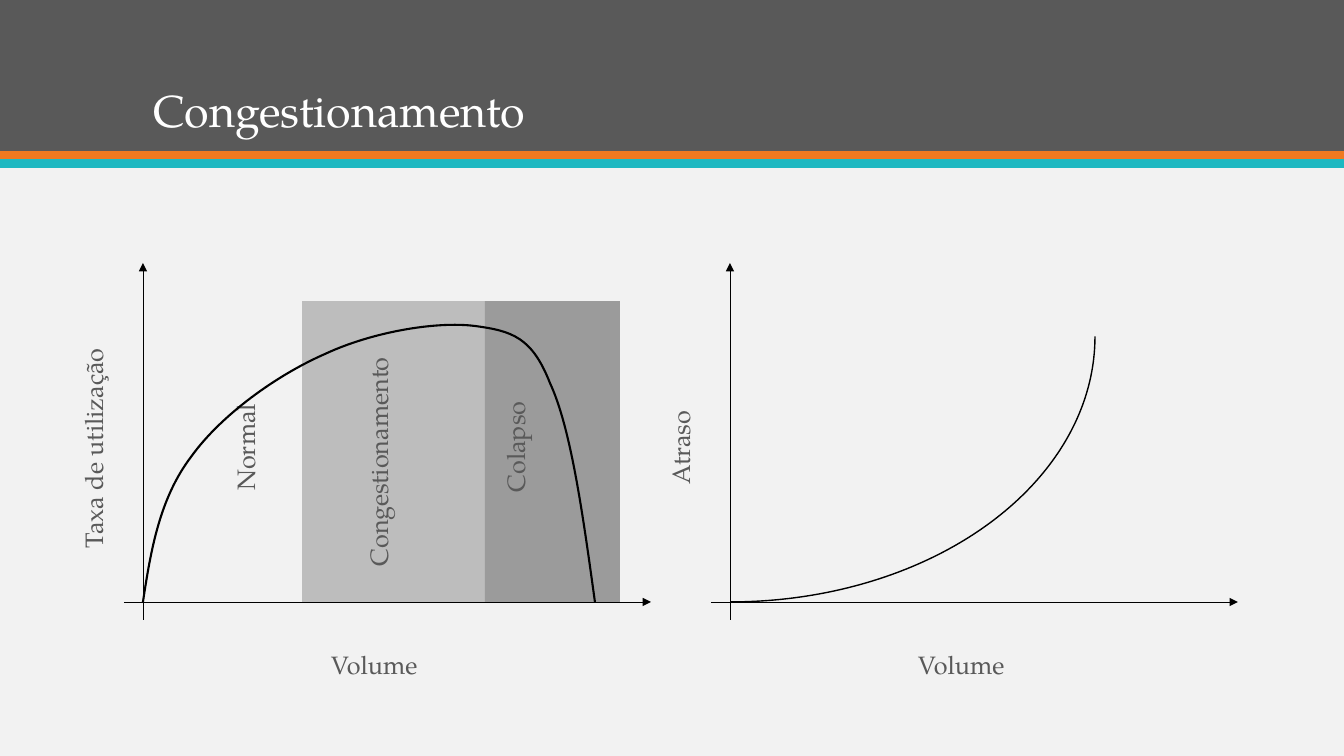
from lxml.etree import SubElement
from pptx import Presentation
from pptx.dml.color import RGBColor
from pptx.enum.shapes import MSO_CONNECTOR, MSO_SHAPE
from pptx.enum.text import MSO_ANCHOR, MSO_AUTO_SIZE, PP_ALIGN
from pptx.oxml.ns import qn
from pptx.util import Emu, Pt

FONT = "TeX Gyre Pagella"
COLORS = {
    "background": "F2F2F2", "header": "595959", "orange": "EF7920",
    "teal": "1EB8C1", "congestion": "BDBDBD", "collapse": "9B9B9B",
    "text": "595959", "title": "FFFFFF", "line": "000000",
}
BASE_Y = 602
UTILIZATION_X, DELAY_X = 143, 730
# Start point, then two controls and an end point for each Bezier segment
UTILIZATION_CURVE = [
    (143, 602),
    (151, 549), (160, 498), (191, 457),
    (221, 415), (277, 375), (325, 354),
    (372, 332), (436, 321), (475, 326),
    (512, 331), (532, 337), (550, 383),
    (571, 428), (583, 515), (595, 602),
]


def px(n):
    return Emu(round(n * 914400 / 100.8))


def rgb(name):
    return RGBColor.from_string(COLORS[name])


def set_all(target, values):
    for name, value in values.items():
        setattr(target, name, value)


def style_text(tf, text, size, color, **frame):
    set_all(tf, frame)
    p = tf.paragraphs[0]
    p.alignment = PP_ALIGN.LEFT
    r = p.add_run()
    r.text = text
    set_all(r.font, {"name": FONT, "size": Pt(size)})
    r.font.color.rgb = rgb(color)
    return p


def style_line(sp, width):
    sp.line.color.rgb = rgb("line")
    sp.line.width = Pt(width)


def add_block(s, x, y, w, h, color):
    sp = s.shapes.add_shape(MSO_SHAPE.RECTANGLE, *map(px, (x, y, w, h)))
    sp.shadow.inherit = False
    sp.fill.solid()
    sp.fill.fore_color.rgb = rgb(color)
    sp.line.fill.background()


def add_title(s, text):
    sp = s.shapes.title
    set_all(sp, {"left": px(143), "top": px(28), "width": px(1058), "height": px(114)})
    p = style_text(sp.text_frame, text, 32, "title", word_wrap=True,
                   vertical_anchor=MSO_ANCHOR.BOTTOM)
    p.line_spacing = 0.9
    s.shapes._spTree.append(sp._element)  # in front of the header bands


def add_label(s, text, cx, cy, length, vertical=False):
    w, h = (50, length) if vertical else (length, 40)
    sp = s.shapes.add_textbox(px(cx - w / 2), px(cy - h / 2), px(w), px(h))
    style_text(sp.text_frame, text, 18, "text", word_wrap=False,
               auto_size=MSO_AUTO_SIZE.SHAPE_TO_FIT_TEXT)
    if vertical:
        sp.text_frame._txBody.bodyPr.set("vert", "vert270")


def add_arrow(s, x1, y1, x2, y2):
    sp = s.shapes.add_connector(MSO_CONNECTOR.STRAIGHT, *map(px, (x1, y1, x2, y2)))
    style_line(sp, 0.5)
    SubElement(sp.line._get_or_add_ln(), qn("a:tailEnd"), type="triangle")
    SubElement(sp._element.spPr, qn("a:effectLst"))


def add_axes(s, x):
    add_arrow(s, x, BASE_Y + 18, x, 263)
    add_arrow(s, x - 19, BASE_Y, x + 508, BASE_Y)


def add_curve(s, points, width):
    points = [(px(x), px(y)) for x, y in points]
    builder = s.shapes.build_freeform(*points[0])
    builder.add_line_segments(points[1:], close=False)
    sp = builder.convert_to_shape()
    sp.shadow.inherit = False
    sp.fill.background()
    style_line(sp, width)
    # Every three straight segments become one cubic Bezier
    lines = list(sp._element.iter(qn("a:lnTo")))
    outline = lines[0].getparent()
    for i in range(0, len(lines), 3):
        bezier = SubElement(outline, qn("a:cubicBezTo"))
        for line in lines[i:i + 3]:
            bezier.append(line[0])
            outline.remove(line)


def add_arc(s, x, y, w, h, width):
    sp = s.shapes.add_shape(MSO_SHAPE.ARC, *map(px, (x, y, w, h)))
    sp.rotation = 90
    sp.shadow.inherit = False
    sp.fill.background()
    style_line(sp, width)


def main():
    prs = Presentation()
    set_all(prs, {"slide_width": px(1344), "slide_height": px(756)})
    s = prs.slides.add_slide(prs.slide_layouts[5])
    s.background.fill.solid()
    s.background.fill.fore_color.rgb = rgb("background")

    # Header
    for y, h, color in [(0, 151, "header"), (151, 9, "orange"), (159, 9, "teal")]:
        add_block(s, 0, y, 1344, h, color)
    add_title(s, "Congestionamento")

    # Utilization against volume
    add_axes(s, UTILIZATION_X)
    for x, w, color in [(302, 183, "congestion"), (485, 135, "collapse")]:
        add_block(s, x, 301, w, BASE_Y - 301, color)
    for text, cx, cy, length in [("Normal", 250, 451, 98),
                                 ("Congestionamento", 383, 465, 223),
                                 ("Colapso", 520, 451, 103)]:
        add_label(s, text, cx, cy, length, vertical=True)
    add_curve(s, UTILIZATION_CURVE, 1.5)

    # Delay against volume
    add_axes(s, DELAY_X)
    add_arc(s, 465, -28, 531, 729, 1)

    # Axis names
    for x, text, length in [(UTILIZATION_X, "Taxa de utilização", 214),
                            (DELAY_X, "Atraso", 86)]:
        add_label(s, text, x - 45, 451, length, vertical=True)
        add_label(s, "Volume", x + 233, 664, 110)

    prs.save("out.pptx")


main()
